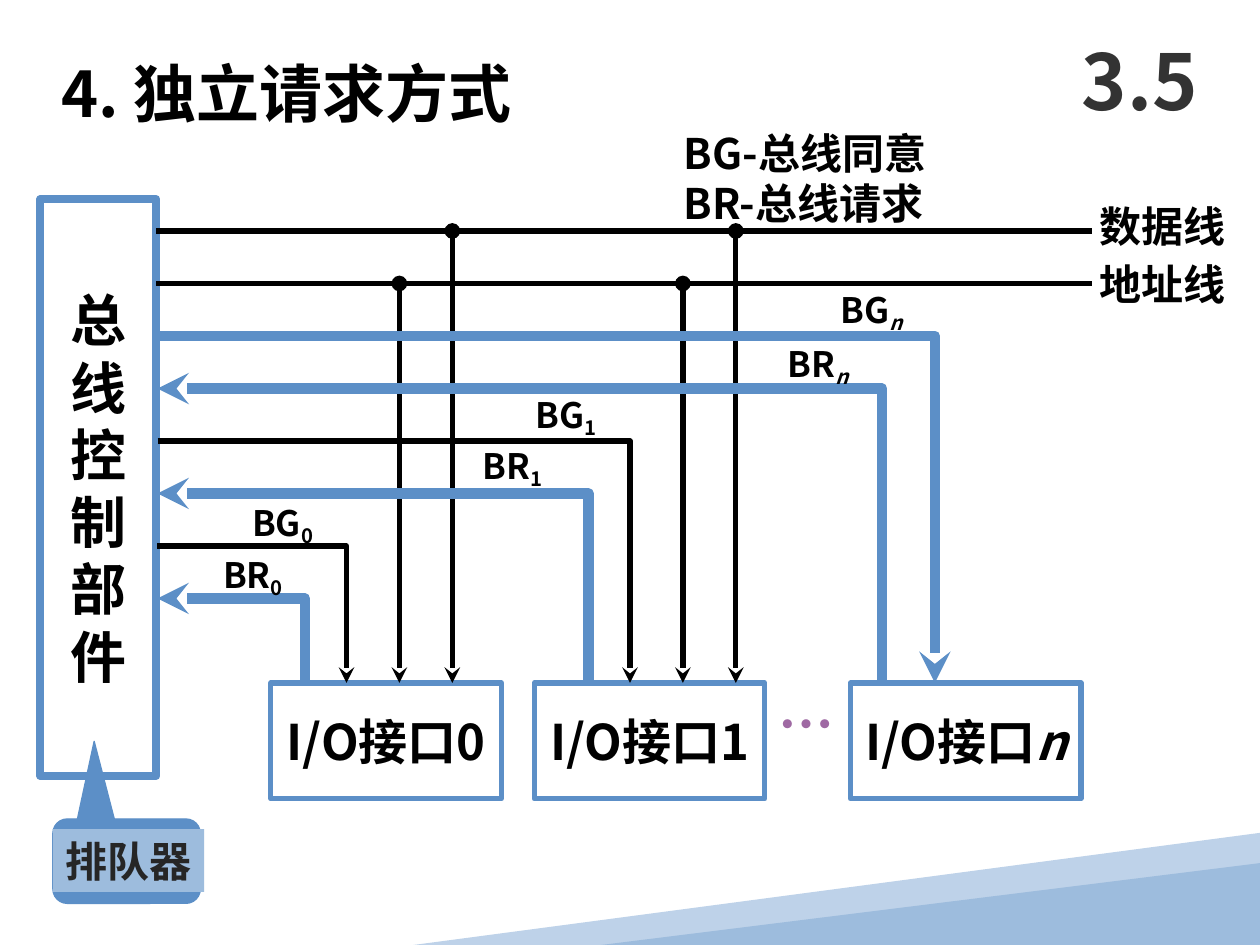
from lxml import etree
from pptx import Presentation
from pptx.dml.color import RGBColor
from pptx.enum.shapes import MSO_CONNECTOR, MSO_SHAPE
from pptx.enum.text import MSO_ANCHOR, PP_ALIGN
from pptx.oxml.ns import qn
from pptx.util import Inches, Pt

RECTANGLE = MSO_SHAPE.RECTANGLE
TRIANGLE = MSO_SHAPE.ISOSCELES_TRIANGLE
CALLOUT = MSO_SHAPE.ROUNDED_RECTANGULAR_CALLOUT
STRAIGHT = MSO_CONNECTOR.STRAIGHT
LEFT, CENTER = PP_ALIGN.LEFT, PP_ALIGN.CENTER
TOP, MIDDLE = MSO_ANCHOR.TOP, MSO_ANCHOR.MIDDLE
FONT = "Noto Sans CJK SC"
COLORS = {
    "ink": "000000",
    "blue": "5C8FC7",
    "mid": "9DBCDD",
    "pale": "BED2E9",
    "tag": "262626",
    "section": "333333",
    "dots": "9F69A3",
}


def write(shape, lines, size, color="ink", align=LEFT, anchor=TOP, wrap=False, margins=(0.1, 0.05)):
    frame = shape.text_frame
    frame.word_wrap = wrap
    frame.vertical_anchor = anchor
    frame.margin_left = frame.margin_right = Inches(margins[0])
    frame.margin_top = frame.margin_bottom = Inches(margins[1])
    frame.text = "\n".join(lines)
    for paragraph in frame.paragraphs:
        paragraph.alignment = align
    return style_runs(frame, size, color)


def style_runs(frame, size, color):
    for paragraph in frame.paragraphs:
        for run in paragraph.runs:
            run.font.size = Pt(size)
            run.font.bold = True
            run.font.color.rgb = RGBColor.from_string(COLORS[color])
            run.font.name = FONT
            properties = run._r.get_or_add_rPr()
            if properties.find(qn("a:ea")) is None:
                etree.SubElement(properties, qn("a:ea"), typeface=FONT)
    return frame


prs = Presentation()
prs.slide_width, prs.slide_height = Inches(10), Inches(7.5)
slide = prs.slides.add_slide(prs.slide_layouts[6])
shapes = slide.shapes

builder = shapes.build_freeform(Inches(10), Inches(6.61))
builder.add_line_segments([(Inches(x), Inches(y)) for x, y in [(10, 7.44), (6.73, 7.5), (3.28, 7.5)]])
back_wedge = builder.convert_to_shape()
front_wedge = shapes.add_shape(TRIANGLE, Inches(4.77), Inches(6.85), Inches(5.23), Inches(0.65))
front_wedge.adjustments[0] = 1
for wedge, color in [(back_wedge, "pale"), (front_wedge, "mid")]:
    wedge.shadow.inherit = False
    wedge.fill.solid()
    wedge.fill.fore_color.rgb = RGBColor.from_string(COLORS[color])
    wedge.line.fill.background()

boxes = [
    (0.32, 1.58, 0.92, 4.58, 4.5, 32, list("总线控制部件")),
    (2.15, 5.42, 1.83, 0.92, 3, 28, ["I/O接口0"]),
    (4.24, 5.42, 1.83, 0.92, 3, 28, ["I/O接口1"]),
    (6.75, 5.42, 1.83, 0.92, 3, 28, ["I/O接口"]),
]
for left, top, width, height, weight, size, lines in boxes:
    box = shapes.add_shape(RECTANGLE, Inches(left), Inches(top), Inches(width), Inches(height))
    box.shadow.inherit = False
    box.fill.background()
    box.line.color.rgb = RGBColor.from_string(COLORS["blue"])
    box.line.width = Pt(weight)
    caption = write(box, lines, size, align=CENTER, anchor=MIDDLE)
index = caption.paragraphs[0].add_run()
index.text = "n"
index.font.italic = True
style_runs(caption, 28, "ink")

queue_callout = shapes.add_shape(CALLOUT, Inches(0.42), Inches(6.5), Inches(1.17), Inches(0.67))
for position, value in enumerate((-0.22, -1.42, 0.17)):
    queue_callout.adjustments[position] = value
queue_callout.shadow.inherit = False
queue_callout.fill.solid()
queue_callout.fill.fore_color.rgb = RGBColor.from_string(COLORS["blue"])
queue_callout.line.color.rgb = RGBColor.from_string(COLORS["blue"])
queue_callout.line.width = Pt(0.75)
queue_tag = shapes.add_shape(RECTANGLE, Inches(0.42), Inches(6.58), Inches(1.2), Inches(0.5))
queue_tag.shadow.inherit = False
queue_tag.fill.solid()
queue_tag.fill.fore_color.rgb = RGBColor.from_string(COLORS["mid"])
queue_tag.line.fill.background()
write(queue_tag, ["排队器"], 24, "tag")

row_y = [(22 + 5 * row) / 12 for row in range(8)]
interface_top = 5.42
wires = [(1.24, y, 8.67, y, False) for y in row_y[:2]]
wires += [
    (x + 0.42 * (1 - row), row_y[row], x + 0.42 * (1 - row), interface_top, True)
    for x in (3.17, 5.42) for row in (1, 0)
]
for x1, y1, x2, y2, is_tap in wires:
    wire = shapes.add_connector(STRAIGHT, Inches(x1), Inches(y1), Inches(x2), Inches(y2))
    wire.line.color.rgb = RGBColor.from_string(COLORS["ink"])
    wire.line.width = Pt(3)
    if is_tap:
        line = wire.line._get_or_add_ln()
        etree.SubElement(line, qn("a:headEnd"), type="oval")
        etree.SubElement(line, qn("a:tailEnd"), type="stealth")
    etree.SubElement(wire._element.spPr, qn("a:effectLst"))

signals = [
    ("BG", "1", 4, 5, "ink", 4.25, 3.12),
    ("BG", "0", 6, 2.75, "ink", 2, 3.98),
    ("BR", "n", 3, 7, "blue", 6.25, 2.72),
    ("BR", "1", 5, 4.67, "blue", 3.83, 3.53),
    ("BR", "0", 7, 2.42, "blue", 1.77, 4.39),
    ("BG", "n", 2, 7.42, "blue", 6.67, 2.29),
]
for name, subscript, row, x, color, label_left, label_top in signals:
    route = [(1.25, row_y[row]), (x, row_y[row]), (x, interface_top)]
    if name == "BR":
        route.reverse()
    start, *rest = [(Inches(px), Inches(py)) for px, py in route]
    builder = shapes.build_freeform(*start)
    builder.add_line_segments(rest, close=False)
    signal = builder.convert_to_shape()
    signal.shadow.inherit = False
    signal.fill.background()
    signal.line.color.rgb = RGBColor.from_string(COLORS[color])
    signal.line.width = Pt(3 if color == "ink" else 6)
    line = signal.line._get_or_add_ln()
    etree.SubElement(line, qn("a:round"))
    etree.SubElement(line, qn("a:tailEnd"), type="stealth")

    label = shapes.add_textbox(Inches(label_left), Inches(label_top), Inches(0.92), Inches(0.37))
    label_frame = write(label, [name], 20, wrap=True, margins=(0, 0))
    suffix = label_frame.paragraphs[0].add_run()
    suffix.text = subscript
    suffix.font.italic = subscript == "n"
    suffix._r.get_or_add_rPr().set("baseline", "-20000")
    style_runs(label_frame, 20, "ink")

texts = [
    (0.39, 0.38, 3.89, 0.7, ["4. 独立请求方式"], 36, "ink", LEFT, TOP),
    (8.63, 1.54, 1.2, 0.5, ["数据线"], 24, "ink", LEFT, TOP),
    (8.63, 2, 1.2, 0.5, ["地址线"], 24, "ink", LEFT, TOP),
    (6.08, 5.42, 0.64, 0.64, ["…"], 32, "dots", LEFT, TOP),
    (5.33, 0.96, 2.58, 0.9, ["BG-总线同意", "BR-总线请求"], 24, "ink", LEFT, TOP),
    (8.42, 0.17, 1.25, 0.92, ["3.5"], 44, "section", CENTER, MIDDLE),
]
for left, top, width, height, lines, size, color, align, anchor in texts:
    note = shapes.add_textbox(Inches(left), Inches(top), Inches(width), Inches(height))
    write(note, lines, size, color, align, anchor)

prs.save("out.pptx")
